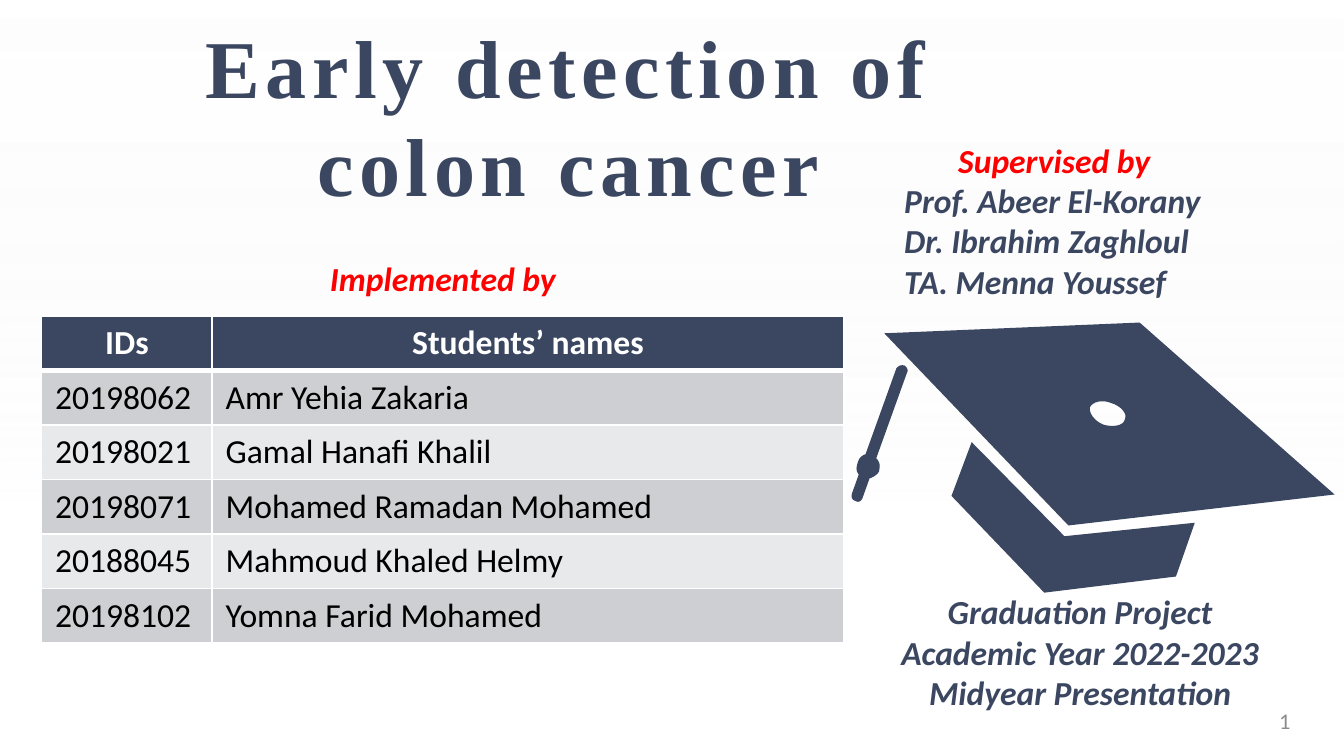
"""Build the title slide of a graduation project on early detection of colon cancer."""
from lxml.etree import SubElement
from pptx import Presentation
from pptx.dml.color import RGBColor
from pptx.enum.shapes import MSO_SHAPE
from pptx.enum.text import MSO_ANCHOR, MSO_AUTO_SIZE, PP_ALIGN
from pptx.oxml import parse_xml
from pptx.oxml.ns import nsdecls, qn
from pptx.util import Inches, Pt

NAVY = RGBColor(0x3B, 0x47, 0x61)
RED = RGBColor(0xFF, 0, 0)
BLACK = RGBColor(0, 0, 0)
WHITE = RGBColor(0xFF, 0xFF, 0xFF)
PALE = RGBColor(0xF2, 0xF2, 0xF2)
GREY = RGBColor(0x8C, 0x8C, 0x8C)
BANDS = [RGBColor(0xCE, 0xCF, 0xD2), RGBColor(0xE8, 0xE9, 0xEA)]
LEFT, CENTER, RIGHT = PP_ALIGN.LEFT, PP_ALIGN.CENTER, PP_ALIGN.RIGHT

TITLE = "Early detection of colon cancer"
ROWS = [
    ("IDs", "Students’ names"),
    ("20198062", "Amr Yehia Zakaria"),
    ("20198021", "Gamal Hanafi Khalil"),
    ("20198071", "Mohamed Ramadan Mohamed"),
    ("20188045", "Mahmoud Khaled Helmy"),
    ("20198102", "Yomna Farid Mohamed"),
]
COL_WIDTHS = [1.27, 4.7]
TABLE_HEIGHT = 2.43
CAPTIONS = [
    ((6.63, 0.99, 2.43, 1.62), False, [
        ("Supervised by", RED, CENTER),
        ("Prof. Abeer El-Korany", NAVY, LEFT),
        ("Dr. Ibrahim Zaghloul", NAVY, LEFT),
        ("TA. Menna Youssef", NAVY, LEFT),
    ]),
    ((0.22, 1.87, 6.15, 0.4), True, [("Implemented by", RED, CENTER)]),
    ((4.99, 4.35, 6.15, 1.01), True, [
        (line, NAVY, CENTER) for line in
        ("Graduation Project ", "Academic Year 2022-2023 ", "Midyear Presentation ")
    ]),
]
CAP_BASE = [(7.23, 3.29), (7.92, 3.99), (8.89, 3.89), (8.75, 4.29), (7.77, 4.41), (7.08, 3.69)]
TASSEL = [
    (6.73, 2.72), (6.75, 2.73, 6.76, 2.76, 6.75, 2.77), (6.52, 3.41),
    (6.55, 3.44, 6.55, 3.47, 6.54, 3.51), (6.53, 3.53, 6.5, 3.55, 6.47, 3.56),
    (6.42, 3.7), (6.41, 3.73, 6.39, 3.74, 6.37, 3.73),
    (6.34, 3.72, 6.33, 3.7, 6.34, 3.67), (6.39, 3.53),
    (6.37, 3.51, 6.37, 3.48, 6.38, 3.45), (6.39, 3.41, 6.41, 3.39, 6.44, 3.38),
    (6.67, 2.74), (6.68, 2.73, 6.7, 2.71, 6.73, 2.72),
]
BUTTON = [
    (8.27, 3), (8.2, 2.97, 8.13, 2.99, 8.11, 3.03), (8.1, 3.07, 8.14, 3.13, 8.21, 3.16),
    (8.28, 3.18, 8.36, 3.17, 8.37, 3.12), (8.39, 3.08, 8.34, 3.02, 8.27, 3),
]
CAP_TOP = [(8.48, 2.4), (9.93, 3.68), (7.95, 3.91), (6.58, 2.48)]
CURVE_STEPS = 8
UNITS = 1000


def box(values):
    return [Inches(v) for v in values]


def style(p, size, color, align=LEFT, bold=False, italic=False, font="Calibri"):
    p.alignment = align
    for r in p.runs:
        r.font.name, r.font.size = font, Pt(size)
        r.font.bold, r.font.italic = bold, italic
        r.font.color.rgb = color


def add_background(s, width, height):
    bg = s.shapes.add_shape(MSO_SHAPE.RECTANGLE, 0, 0, width, height)
    bg.shadow.inherit = False
    bg.line.fill.background()
    bg.fill.gradient()
    bg.fill.gradient_angle = 270
    for stop, position, color in zip(bg.fill.gradient_stops, (0, 0.71), (WHITE, PALE)):
        stop.position = position
        stop.color.rgb = color
    for color, alpha in zip(bg._element.spPr.iter(qn("a:srgbClr")), (55, 0)):
        SubElement(color, qn("a:alpha")).set("val", str(alpha * 1000))
    s.shapes._spTree.insert(2, bg._element)


def add_title(s):
    title = s.shapes.title
    title.left, title.top, title.width, title.height = box((1.12, 0.07, 6.22, 1.58))
    tf = title.text_frame
    tf.text = TITLE
    tf.word_wrap = True
    tf.auto_size = MSO_AUTO_SIZE.NONE
    tf.vertical_anchor = MSO_ANCHOR.TOP
    p = tf.paragraphs[0]
    style(p, 44, NAVY, CENTER, bold=True, font="Times New Roman")
    p.runs[0].font._element.set("spc", "300")


def add_caption(s, place, wrap, lines):
    tf = s.shapes.add_textbox(*box(place)).text_frame
    tf.word_wrap = wrap
    tf.text = "\n".join(text for text, _, _ in lines)
    for p, (_, color, align) in zip(tf.paragraphs, lines):
        style(p, 18, color, align, bold=True, italic=True)


def flatten(outline):
    points = [outline[0]]
    for segment in outline[1:]:
        if len(segment) == 2:
            points.append(segment)
            continue
        x0, y0 = points[-1]
        x1, y1, x2, y2, x3, y3 = segment
        for step in range(1, CURVE_STEPS + 1):
            t = step / CURVE_STEPS
            a, b, c, d = (1 - t) ** 3, 3 * t * (1 - t) ** 2, 3 * t * t * (1 - t), t ** 3
            points.append((a * x0 + b * x1 + c * x2 + d * x3,
                           a * y0 + b * y1 + c * y2 + d * y3))
    return [(x * UNITS, y * UNITS) for x, y in points]


def add_graduation_cap(s):
    contours = [flatten(o) for o in (CAP_BASE, TASSEL, BUTTON, CAP_TOP)]
    builder = s.shapes.build_freeform(*contours[0][0], scale=Inches(1) / UNITS)
    for i, points in enumerate(contours):
        if i:
            builder.move_to(*points[0])
        builder.add_line_segments(points[1:], close=True)
    cap = builder.convert_to_shape()
    cap.shadow.inherit = False
    cap.fill.solid()
    cap.fill.fore_color.rgb = NAVY
    cap.line.fill.background()


def add_borders(cell, bottom):
    for side, width in zip("LRTB", (1, 1, 1, bottom)):
        cell._tc.get_or_add_tcPr().append(parse_xml(
            f'<a:ln{side} {nsdecls("a")} w="{Pt(width)}"><a:solidFill>'
            f'<a:srgbClr val="{WHITE}"/></a:solidFill></a:ln{side}>'))


def add_students(s):
    place = box((0.31, 2.35, sum(COL_WIDTHS), TABLE_HEIGHT))
    table = s.shapes.add_table(len(ROWS), len(COL_WIDTHS), *place).table
    for column, width in zip(table.columns, COL_WIDTHS):
        column.width = Inches(width)
    for i, row in enumerate(ROWS):
        header = i == 0
        for j, text in enumerate(row):
            cell = table.cell(i, j)
            cell.text = text
            add_borders(cell, 3 if header else 1)
            cell.fill.solid()
            cell.fill.fore_color.rgb = NAVY if header else BANDS[(i - 1) % 2]
            style(cell.text_frame.paragraphs[0], 18, WHITE if header else BLACK,
                  CENTER if header else LEFT, bold=header)


def add_page_number(s):
    tf = s.shapes.add_textbox(*box((7.37, 5.21, 2.33, 0.3))).text_frame
    tf.word_wrap = True
    tf.vertical_anchor = MSO_ANCHOR.MIDDLE
    tf.text = "1"
    style(tf.paragraphs[0], 12, GREY, RIGHT)


def main():
    prs = Presentation()
    prs.slide_width = Inches(10)
    prs.slide_height = prs.slide_width * 9 // 16
    s = prs.slides.add_slide(prs.slide_layouts[5])
    add_background(s, prs.slide_width, prs.slide_height)
    add_title(s)
    add_graduation_cap(s)
    add_students(s)
    for caption in CAPTIONS:
        add_caption(s, *caption)
    add_page_number(s)
    prs.save("out.pptx")


if __name__ == "__main__":
    main()
